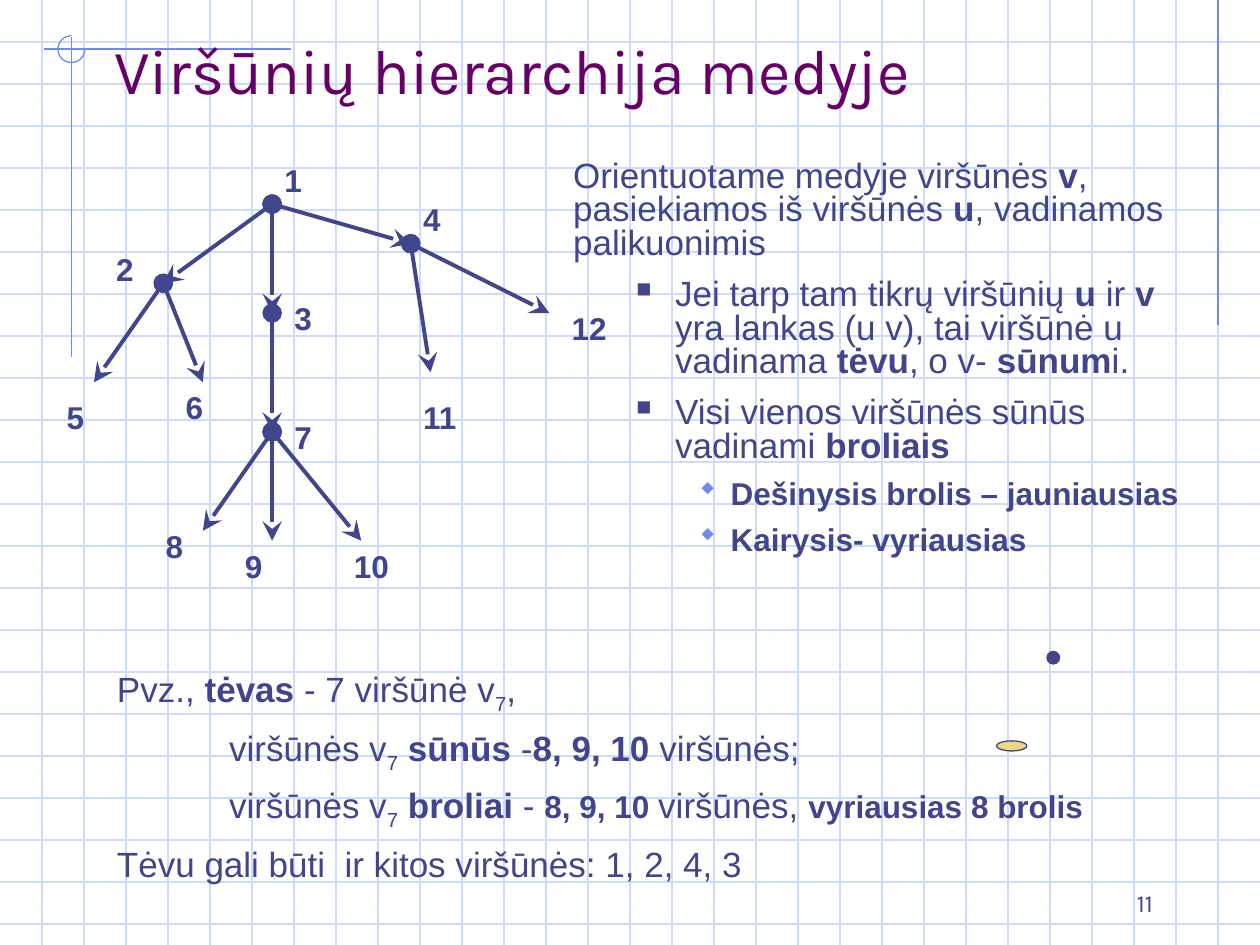
import pptx
import pptx.dml.color
import pptx.enum.shapes
import pptx.enum.text
import pptx.oxml.ns
import pptx.util
from lxml import etree

RGBColor = pptx.dml.color.RGBColor
INK = RGBColor(0x40, 0x45, 0x8C)
GRID_BLUE = RGBColor(0xCF, 0xDB, 0xFD)
ACCENT = RGBColor(0x6F, 0x89, 0xF7)
PURPLE = RGBColor(0x66, 0x00, 0x66)
SAND = RGBColor(0xEC, 0xD8, 0x82)

COLUMNS, ROWS = 30, 22.5
CELL = pptx.util.Inches(10) / COLUMNS

# The tree has a finer grid, counted from its root
STEP = pptx.util.Inches(1.1) / 14
ROOT_X, ROOT_Y = pptx.util.Inches(2.16), pptx.util.Inches(1.62)

# number: (parent, position, label corner, label width), in steps
VERTICES = {
    1: (None, (0, 0), (0, -5), 5),
    2: (1, (-11, 8), (-17, 4), 5),
    3: (1, (0, 11), (1, 9), 5),
    4: (1, (14, 4), (14, -1), 5),
    5: (2, (-18, 18), (-22, 19), 5),
    6: (2, (-7, 18), (-10, 18), 5),
    7: (3, (0, 23), (1, 21), 5),
    8: (7, (-7, 33), (-12, 32), 5),
    9: (7, (0, 34), (-4, 34), 5),
    10: (7, (9, 34), (7, 34), 8),
    11: (4, (16, 17), (14, 19), 7),
    12: (4, (28, 11), (29, 10), 8),
}

BOLD = {"bold": True}
BOLD_SMALL = {"bold": True, "size": 18}
SUB = {"baseline": -25000}

# Wingdings draws n as a square and w as a diamond
SQUARE = ("n", INK, 60)
DIAMOND = ("w", ACCENT, 95)
SON_RULE = dict(level=1, indent=(0.81, -0.31), spacing=0.8, before=10, bullet=SQUARE)
BROTHER_RULE = dict(level=2, indent=(1.25, -0.25), spacing=0.8, before=9,
                    bullet=DIAMOND, size=18, bold=True)
DEFINITIONS = [
    (["Orientuotame medyje viršūnės ", ("v", BOLD), ", pasiekiamos iš viršūnės ",
      ("u", BOLD), ", vadinamos palikuonimis"], dict(spacing=0.8)),
    (["Jei tarp tam tikrų viršūnių ", ("u ", BOLD), "ir ", ("v ", BOLD),
      "yra lankas (u v), tai viršūnė u vadinama ", ("tėvu", BOLD), ", o v- ",
      ("sūnum", BOLD), "i."], SON_RULE),
    (["Visi vienos viršūnės sūnūs vadinami ", ("broliais", BOLD)], SON_RULE),
    (["Dešinysis brolis – jauniausias"], BROTHER_RULE),
    (["Kairysis- vyriausias"], BROTHER_RULE),
]

OUTER = dict(indent=(0.4, -0.4))
INNER = dict(level=1, indent=(2.45, -1.56))
EXAMPLE = [
    (["Pvz., ", ("tėvas ", BOLD), "- 7 viršūnė v", ("7", SUB), ","], OUTER),
    (["viršūnės v", ("7", SUB), (" sūnūs", BOLD), " -", ("8, 9, 10", BOLD),
      " viršūnės;"], dict(INNER, before=6.2)),
    (["viršūnės v", ("7", SUB), (" broliai ", BOLD), "- ", ("8, 9, 10 ", BOLD_SMALL),
      "viršūnės, ", ("vyriausias 8 brolis", BOLD_SMALL)], dict(INNER, before=5.6)),
    (["Tėvu gali būti  ir kitos viršūnės: 1, 2, 4, 3"], dict(OUTER, before=6.2)),
]


def cells(*counts):
    return [round(count * CELL) for count in counts]


def tree_point(x, y):
    return round(ROOT_X + x * STEP), round(ROOT_Y + y * STEP)


def sub(parent, tag, **attributes):
    return etree.SubElement(parent, pptx.oxml.ns.qn(tag), attributes)


def add_line(slide, start, end, color, width=0.75):
    line = slide.shapes.add_connector(
        pptx.enum.shapes.MSO_CONNECTOR.STRAIGHT, *start, *end)
    line.line.color.rgb = color
    line.line.width = pptx.util.Pt(width)
    sub(line._element.spPr, "a:effectLst")
    return line


def add_edge(slide, start, end):
    """Line with a dot at the parent and an arrowhead at the child."""
    edge = add_line(slide, start, end, INK, 2.25)
    outline = edge.line._get_or_add_ln()
    sub(outline, "a:headEnd", type="oval", w="lg", len="lg")
    sub(outline, "a:tailEnd", type="stealth", w="lg", len="lg")


def add_round(slide, box, color, fill=None, kind="OVAL"):
    shape = slide.shapes.add_shape(
        getattr(pptx.enum.shapes.MSO_SHAPE, kind), *cells(*box))
    shape.shadow.inherit = False
    if fill is None:
        shape.fill.background()
    else:
        shape.fill.solid()
        shape.fill.fore_color.rgb = fill
    shape.line.color.rgb = color
    shape.line.width = pptx.util.Pt(0.75)
    return shape


def style_font(font, size, color=INK, name="Arial", bold=None):
    font.size = pptx.util.Pt(size)
    font.name = name
    font.color.rgb = color
    font.bold = bold


def fill_paragraph(paragraph, runs, level=0, indent=(0, 0), spacing=None, before=0,
                   bullet=None, size=20, bold=None, name="Arial"):
    paragraph.level = level
    paragraph.space_before = pptx.util.Pt(before)
    if spacing:
        paragraph.line_spacing = spacing
    properties = paragraph._p.get_or_add_pPr()
    for key, inches in zip(("marL", "indent"), indent):
        properties.set(key, str(pptx.util.Inches(inches)))
    if bullet:
        symbol, color, percent = bullet
        sub(sub(properties, "a:buClr"), "a:srgbClr", val=str(color))
        sub(properties, "a:buSzPct", val=str(percent * 1000))
        sub(properties, "a:buFont", typeface="Wingdings", charset="2")
        sub(properties, "a:buChar", char=symbol)
    style_font(paragraph.font, size, name=name, bold=bold)
    for item in runs:
        text, style = (item, {}) if isinstance(item, str) else item
        run = paragraph.add_run()
        run.text = text
        if "bold" in style:
            run.font.bold = True
        if "size" in style:
            run.font.size = pptx.util.Pt(style["size"])
        if "baseline" in style:
            run._r.get_or_add_rPr().set("baseline", str(style["baseline"]))


def add_text(slide, box, paragraphs):
    frame = slide.shapes.add_textbox(*box).text_frame
    frame.word_wrap = True
    for index, (runs, style) in enumerate(paragraphs):
        paragraph = frame.add_paragraph() if index else frame.paragraphs[0]
        fill_paragraph(paragraph, runs, **style)
    return frame


def add_background(slide):
    for row in range(1, 23):
        add_line(slide, cells(0, row), cells(COLUMNS, row), GRID_BLUE)
    for column in range(1, COLUMNS):
        add_line(slide, cells(column, 0), cells(column, ROWS), GRID_BLUE)
    add_line(slide, cells(29, 0), cells(29, 7.74), ACCENT)
    add_line(slide, cells(6.93, 1.17), cells(1.05, 1.17), ACCENT)
    add_line(slide, cells(1.7, 0.87), cells(1.7, 8.5), ACCENT)
    corner = add_round(slide, (1.38, 0.85, 0.64, 0.64), ACCENT, kind="ARC")
    corner.adjustments[0] = 0
    corner.adjustments[1] = 162  # 270 degrees


def place_title(slide, text):
    title = slide.shapes.title
    slide.shapes._spTree.append(title._element)  # in front of the grid
    title.left, title.top, title.width, title.height = cells(2, 1, 25.5, 1.75)
    frame = title.text_frame
    frame.text = text
    frame.auto_size = pptx.enum.text.MSO_AUTO_SIZE.NONE
    frame.vertical_anchor = pptx.enum.text.MSO_ANCHOR.BOTTOM
    frame.margin_left = pptx.util.Inches(0.24)
    frame.margin_bottom = pptx.util.Inches(0.07)
    frame.paragraphs[0].alignment = pptx.enum.text.PP_ALIGN.LEFT
    style_font(frame.paragraphs[0].font, 36, PURPLE, "Karla")


def add_tree(slide):
    for parent, position, _, _ in VERTICES.values():
        if parent:
            add_edge(slide, tree_point(*VERTICES[parent][1]), tree_point(*position))
    for number, (_, _, corner, width) in VERTICES.items():
        box = (*tree_point(*corner), round(width * STEP), round(5 * STEP))
        add_text(slide, box, [([str(number)], dict(size=18, bold=True))])


def main():
    deck = pptx.Presentation()
    deck.slide_width, deck.slide_height = cells(COLUMNS, ROWS)
    slide = deck.slides.add_slide(deck.slide_layouts[5])
    add_background(slide)
    page = add_text(slide, cells(21.5, 20.5, 6.25, 1.5),
                    [(["11"], dict(size=14, name="Karla"))])
    page.vertical_anchor = pptx.enum.text.MSO_ANCHOR.BOTTOM
    page.paragraphs[0].alignment = pptx.enum.text.PP_ALIGN.RIGHT
    place_title(slide, "Viršūnių hierarchija medyje")
    add_text(slide, cells(13.35, 3.69, 15.36, 10.62), DEFINITIONS)
    add_tree(slide)
    add_text(slide, cells(2.49, 15.75, 25.98, 5.46), EXAMPLE)
    add_round(slide, (23.73, 17.64, 0.72, 0.24), INK, SAND)
    add_round(slide, (24.93, 15.51, 0.3, 0.3), INK, INK)
    deck.save("out.pptx")


if __name__ == "__main__":
    main()
